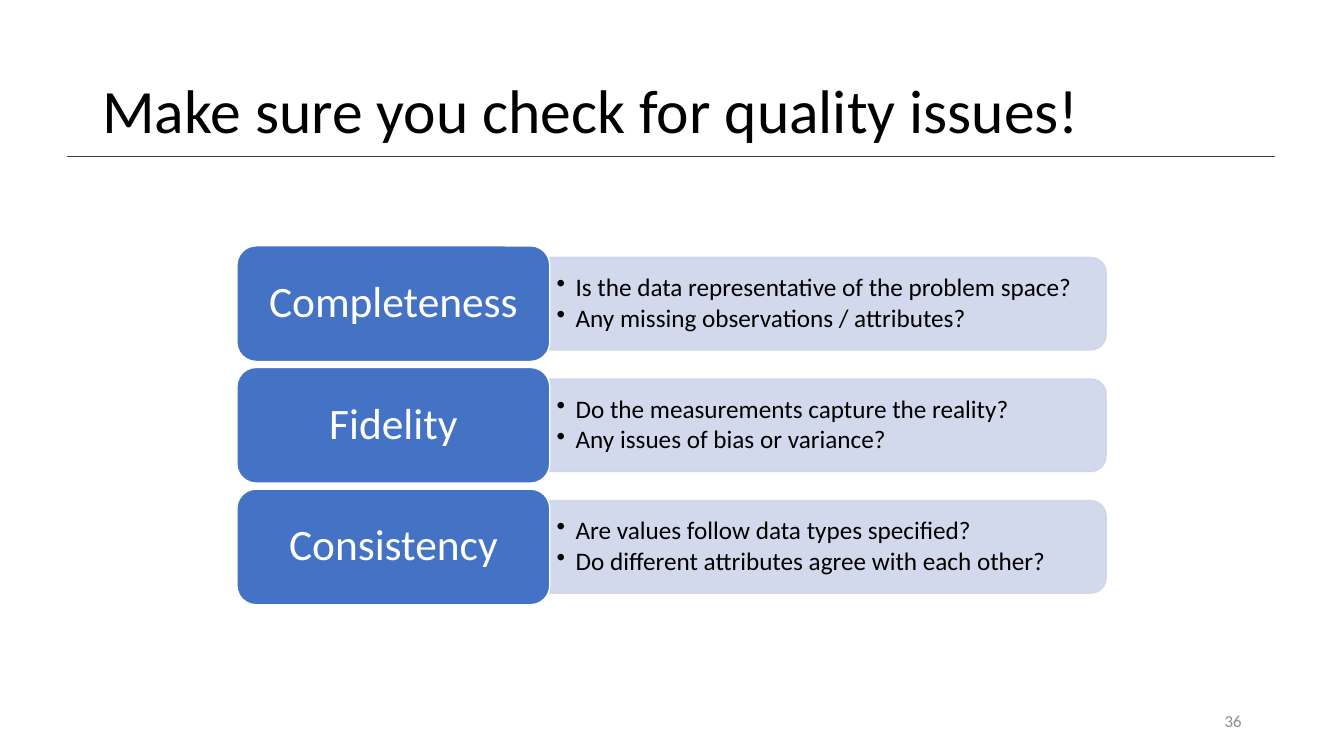
from lxml import etree
from pptx import Presentation
from pptx.dml.color import RGBColor
from pptx.enum.shapes import MSO_CONNECTOR, MSO_SHAPE
from pptx.enum.text import MSO_ANCHOR, PP_ALIGN
from pptx.oxml.ns import qn
from pptx.util import Pt

ROUNDED = MSO_SHAPE.ROUNDED_RECTANGLE
TOP_ROUNDED = MSO_SHAPE.ROUND_2_SAME_RECTANGLE
STRAIGHT = MSO_CONNECTOR.STRAIGHT
MIDDLE = MSO_ANCHOR.MIDDLE
LEFT, CENTER, RIGHT = PP_ALIGN.LEFT, PP_ALIGN.CENTER, PP_ALIGN.RIGHT

FONT = "Calibri"
BLACK, WHITE, GREY = "000000", "FFFFFF", "8C8C8C"
BLUE, PALE, RULE = "4472C4", "CFD5EA", "404040"

LABEL_LEFT, LABEL_W, LABEL_H = 169.2, 223.5, 82.6
PANEL_LEFT, PANEL_W, PANEL_H = LABEL_LEFT + LABEL_W, 397.4, 66.1
FIRST_MIDDLE, PITCH = 216.9, 86.9

CHECKS = [
    ("Completeness", ["Is the data representative of the problem space?",
                      "Any missing observations / attributes?"]),
    ("Fidelity", ["Do the measurements capture the reality?",
                  "Any issues of bias or variance?"]),
    ("Consistency", ["Are values follow data types specified?",
                     "Do different attributes agree with each other?"]),
]


def rgb(value):
    """Turn a hex string into a colour."""
    return RGBColor.from_string(value)


def write(sp, lines, size, color, align=LEFT, spacing=0.9, inset=(7.2, 3.6)):
    """Fill a shape with vertically centred paragraphs."""
    tf = sp.text_frame
    tf.word_wrap = True
    tf.vertical_anchor = MIDDLE
    tf.margin_left = tf.margin_right = Pt(inset[0])
    tf.margin_top = tf.margin_bottom = Pt(inset[1])
    for i, line in enumerate(lines):
        p = tf.paragraphs[0] if i == 0 else tf.add_paragraph()
        p.text = line
        p.alignment = align
        p.line_spacing = spacing
        p.font.name = FONT
        p.font.size = Pt(size)
        p.font.color.rgb = rgb(color)
    return tf


def add_text(s, box, lines, size, color, **style):
    """Add a text box and return its text frame."""
    sp = s.shapes.add_textbox(*map(Pt, box))
    return write(sp, lines, size, color, **style)


def add_block(s, kind, box, fill, line):
    """Add a filled, outlined shape without shadow."""
    sp = s.shapes.add_shape(kind, *map(Pt, box))
    sp.shadow.inherit = False
    sp.fill.solid()
    sp.fill.fore_color.rgb = rgb(fill)
    sp.line.color.rgb = rgb(line)
    sp.line.width = Pt(1)
    return sp


def add_rule(s, left, right, y):
    """Draw the thin line under the title."""
    line = s.shapes.add_connector(STRAIGHT, Pt(left), Pt(y), Pt(right), Pt(y))
    line.line.color.rgb = rgb(RULE)
    line.line.width = Pt(1)
    etree.SubElement(line._element.spPr, qn("a:effectLst"))


def set_opacity(sp, percent):
    """Make the fill and outline of a shape partly transparent."""
    for clr in sp._element.spPr.iter(qn("a:srgbClr")):
        etree.SubElement(clr, qn("a:alpha"), val=str(percent * 1000))


def add_bullets(tf, indent, gap):
    """Give every paragraph a hanging bullet and space after it."""
    for p in tf.paragraphs:
        p.space_after = Pt(gap)
        pPr = p._p.get_or_add_pPr()
        pPr.set("marL", str(Pt(indent)))
        pPr.set("indent", str(-Pt(indent)))
        bullet = etree.Element(qn("a:buChar"), char="•")
        pPr.find(qn("a:defRPr")).addprevious(bullet)


def add_check(s, middle, name, questions):
    """Add one row: a pale panel of questions behind a blue label."""
    panel_box = (PANEL_LEFT + (PANEL_W - PANEL_H) / 2, middle - PANEL_W / 2,
                 PANEL_H, PANEL_W)
    panel = add_block(s, TOP_ROUNDED, panel_box, PALE, PALE)
    panel.rotation = 90
    set_opacity(panel, 90)

    text_box = (PANEL_LEFT, middle - 30, PANEL_W - 3, 60)
    tf = add_text(s, text_box, questions, 18, BLACK, inset=(5, 2.7))
    add_bullets(tf, 13.5, 2.7)

    label_box = (LABEL_LEFT, middle - LABEL_H / 2, LABEL_W, LABEL_H)
    label = add_block(s, ROUNDED, label_box, BLUE, WHITE)
    write(label, [name], 31, WHITE, align=CENTER, inset=(9, 4))


def main():
    """Build the slide and save it."""
    prs = Presentation()
    prs.slide_width, prs.slide_height = Pt(960), Pt(540)
    s = prs.slides.add_slide(prs.slide_layouts[6])

    add_rule(s, 48, 911, 111.6)
    add_text(s, (66, 28.75, 828, 104.4),
             ["Make sure you check for quality issues!"], 44, BLACK)
    for i, (name, questions) in enumerate(CHECKS):
        add_check(s, FIRST_MIDDLE + i * PITCH, name, questions)
    add_text(s, (678, 500.5, 216, 28.75), ["36"], 12, GREY,
             align=RIGHT, spacing=1.0)

    prs.save("out.pptx")


if __name__ == "__main__":
    main()
